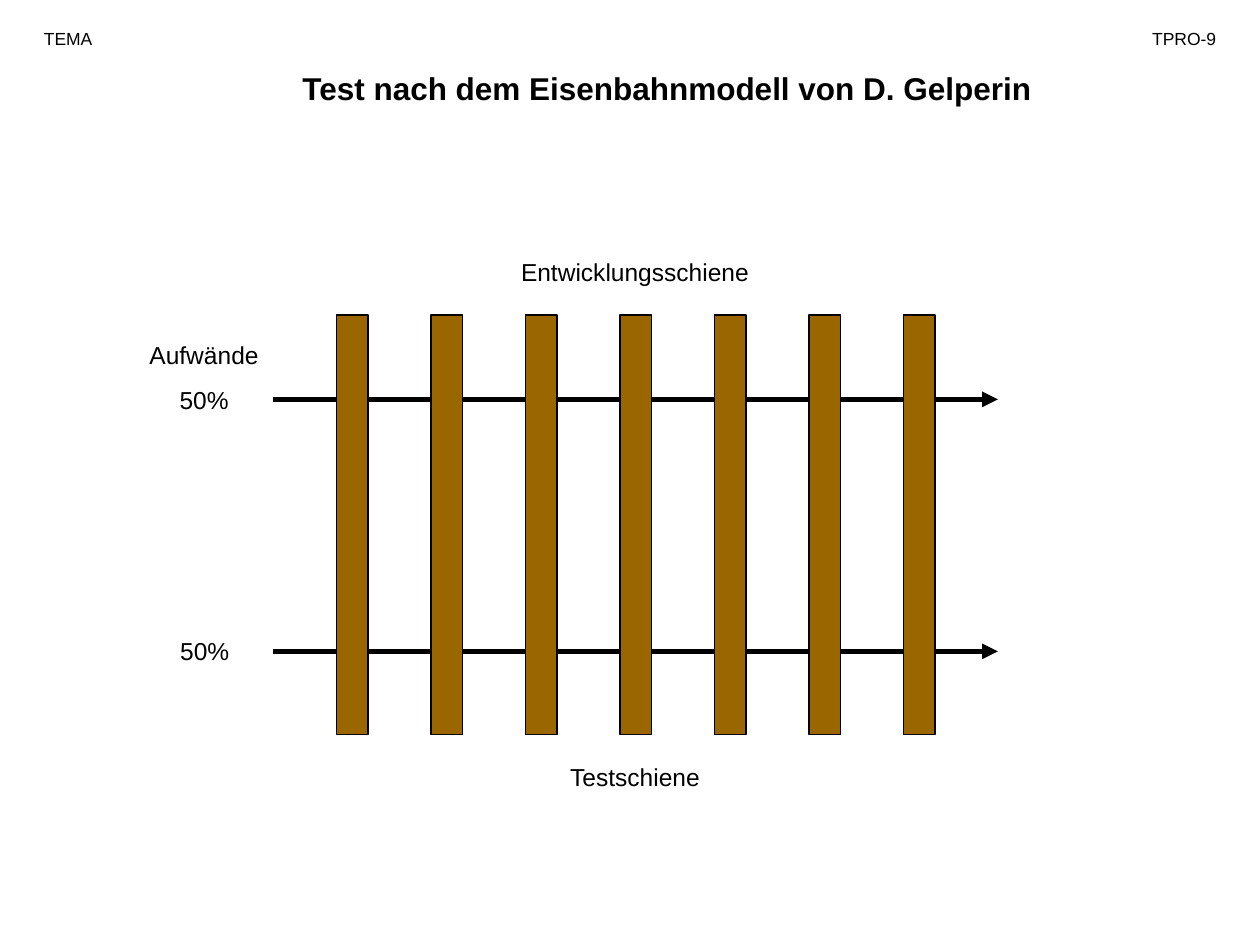
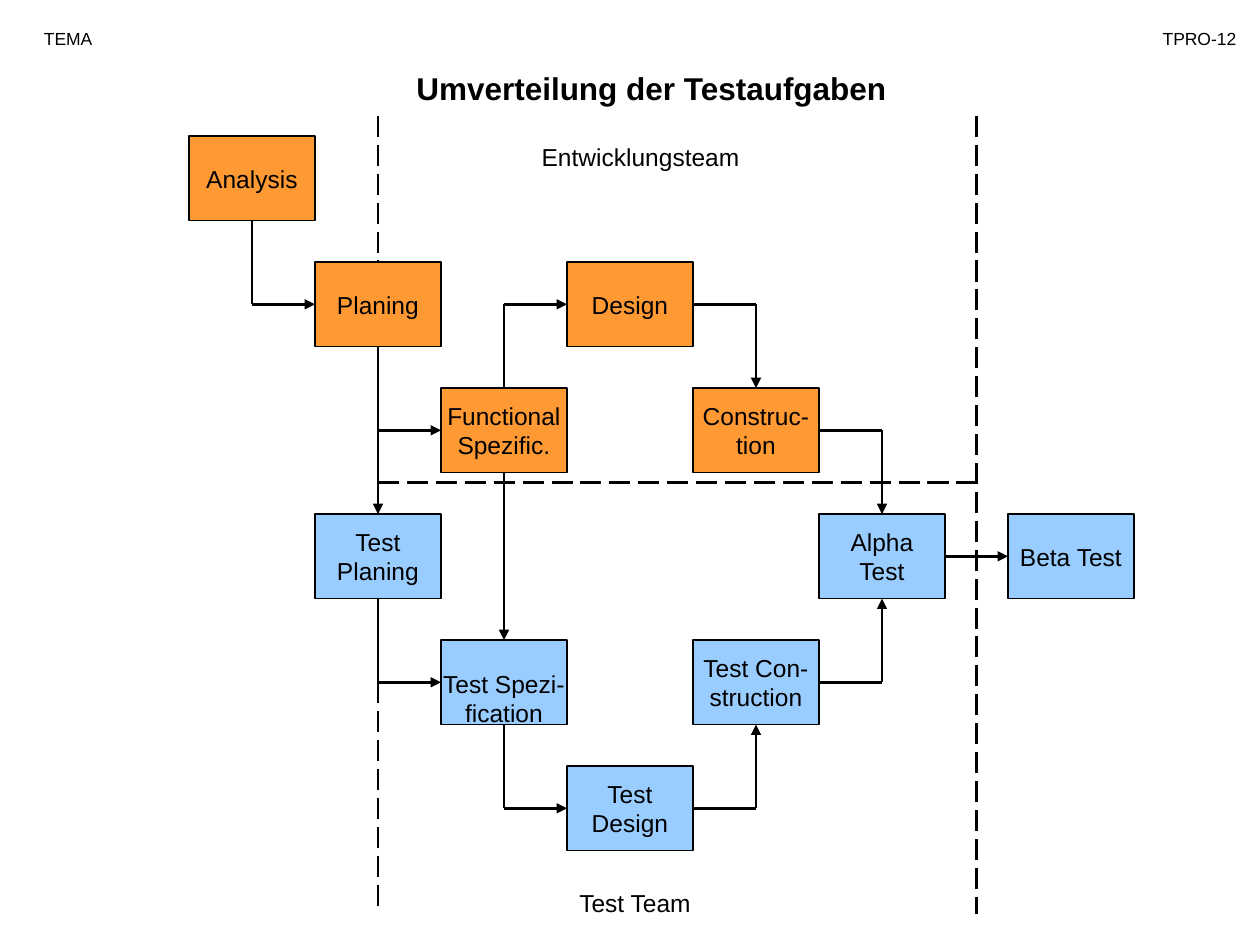
from lxml import etree
from pptx import Presentation
from pptx.dml.color import RGBColor
from pptx.enum.dml import MSO_LINE
from pptx.enum.shapes import MSO_CONNECTOR, MSO_SHAPE
from pptx.enum.text import MSO_ANCHOR, MSO_AUTO_SIZE, PP_ALIGN
from pptx.oxml.ns import qn
from pptx.util import Inches, Pt

STRAIGHT = MSO_CONNECTOR.STRAIGHT
RECT = MSO_SHAPE.RECTANGLE
LONG_DASH = MSO_LINE.LONG_DASH
TOP_ANCHOR, MIDDLE = MSO_ANCHOR.TOP, MSO_ANCHOR.MIDDLE
LEFT_AL, CENTER, RIGHT_AL = PP_ALIGN.LEFT, PP_ALIGN.CENTER, PP_ALIGN.RIGHT
NO_AUTOFIT = MSO_AUTO_SIZE.NONE
TOP, LEFT, BOTTOM, RIGHT = range(4)

FONT = "Arial"
COLORS = {"ink": "000000", "tie": "996600", "dev": "FF9933", "test": "99CCFF"}
INK = RGBColor.from_string(COLORS["ink"])


def write(sp, text, size=14, bold=False, align=CENTER, anchor=TOP_ANCHOR,
          wrap=True, inset_top=0.05, gap=0):
    tf = sp.text_frame
    tf.auto_size = NO_AUTOFIT
    tf.word_wrap = wrap
    tf.vertical_anchor = anchor
    tf.margin_left = tf.margin_right = Inches(0.1)
    tf.margin_top, tf.margin_bottom = Inches(inset_top), Inches(0.05)
    for i, words in enumerate(text.split("\n")):
        p = tf.add_paragraph() if i else tf.paragraphs[0]
        p.alignment = align
        p.space_before = Pt(gap if i else 0)
        r = p.add_run()
        r.text = words
        r.font.name, r.font.size, r.font.bold = FONT, Pt(size), bold
        r.font.color.rgb = INK


def draw_line(slide, start, end, width=1.5, arrow=False, dash=None):
    cx = slide.shapes.add_connector(STRAIGHT, *map(Inches, start + end))
    cx.line.color.rgb = INK
    cx.line.width = Pt(width)
    if dash:
        cx.line.dash_style = dash
    if arrow:
        etree.SubElement(cx.line._ln, qn("a:tailEnd"), type="triangle")
    etree.SubElement(cx._element.spPr, qn("a:effectLst"))
    return cx


prs = Presentation()
prs.slide_width, prs.slide_height = Inches(10), Inches(7.5)

slides = []
for title, title_w, number, number_x, number_w in [
    ("Test nach dem Eisenbahnmodell von D. Gelperin", 6.25, "TPRO-9", 8.75, 1),
    ("Umverteilung der Testaufgaben", 6, "TPRO-12", 8.83, 1.08),
]:
    slide = prs.slides.add_slide(prs.slide_layouts[5])
    slides.append(slide)
    sp = slide.shapes.title
    sp.left, sp.top = Inches(2.17), Inches(0.5)
    sp.width, sp.height = Inches(title_w), Inches(0.4)
    write(sp, title, size=18, bold=True)
    for text, x, w, align in [("TEMA", 0.25, 0.92, LEFT_AL),
                              (number, number_x, number_w, RIGHT_AL)]:
        sp = slide.shapes.add_textbox(Inches(x), Inches(0.17), Inches(w), Inches(0.27))
        write(sp, text, size=10, align=align)
railway, tasks = slides

TIES, TIE_X, TIE_W, TIE_STEP = 7, 2.67, 0.25, 0.75
BOX_W, BOX_H, ROW_Y = 1, 0.67, 1.08
box_places = [
    ("Analysis", 1.5, 0, "dev"),
    ("Planing", 2.5, 1, "dev"),
    ("Design", 4.5, 1, "dev"),
    ("Functional\nSpezific.", 3.5, 2, "dev"),
    ("Construc-\ntion", 5.5, 2, "dev"),
    ("Test\nPlaning", 2.5, 3, "test"),
    ("Alpha\nTest", 6.5, 3, "test"),
    ("Beta Test", 8, 3, "test"),
    ("Test Spezi-\nfication", 3.5, 4, "test"),
    ("Test Con-\nstruction", 5.5, 4, "test"),
    ("Test\nDesign", 4.5, 5, "test"),
]
rects = [(railway, "", TIE_X + i * TIE_STEP, 2.5, TIE_W, 3.33, "tie") for i in range(TIES)]
rects += [(tasks, text, x, ROW_Y + row, BOX_W, BOX_H, color)
          for text, x, row, color in box_places]

boxes, centers = {}, {}
for slide, text, x, y, w, h, color in rects:
    sp = slide.shapes.add_shape(RECT, Inches(x), Inches(y), Inches(w), Inches(h))
    sp.shadow.inherit = False
    sp.fill.solid()
    sp.fill.fore_color.rgb = RGBColor.from_string(COLORS[color])
    sp.line.color.rgb = INK
    sp.line.width = Pt(0.75)
    if text:
        low = text == "Test Spezi-\nfication"
        write(sp, text, wrap=False, anchor=TOP_ANCHOR if low else MIDDLE,
              inset_top=0.23 if low else 0.05)
        name = text.replace("\n", " ")
        boxes[name] = sp
        centers[name] = (x + w / 2, y + h / 2)

for rail_y in (3.17, 5.17):
    for i in range(TIES + 1):
        end_x = TIE_X + i * TIE_STEP
        draw_line(railway, (end_x - TIE_STEP + TIE_W, rail_y), (end_x, rail_y),
                  width=3, arrow=i == TIES)

for source, out_side, target, in_side in [
    ("Analysis", BOTTOM, "Planing", LEFT),
    ("Planing", BOTTOM, "Test Planing", TOP),
    ("Functional Spezific.", TOP, "Design", LEFT),
    ("Functional Spezific.", BOTTOM, "Test Spezi- fication", TOP),
    ("Design", RIGHT, "Construc- tion", TOP),
    ("Construc- tion", RIGHT, "Alpha Test", TOP),
    ("Test Planing", BOTTOM, "Test Spezi- fication", LEFT),
    ("Test Spezi- fication", BOTTOM, "Test Design", LEFT),
    ("Test Design", RIGHT, "Test Con- struction", BOTTOM),
    ("Test Con- struction", RIGHT, "Alpha Test", BOTTOM),
    ("Alpha Test", RIGHT, "Beta Test", LEFT),
]:
    start, end = centers[source], centers[target]
    if start[0] == end[0] or start[1] == end[1]:
        first = last = draw_line(tasks, start, end, arrow=True)
    else:
        upright = out_side in (TOP, BOTTOM)
        corner = (start[0], end[1]) if upright else (end[0], start[1])
        first = draw_line(tasks, start, corner)
        last = draw_line(tasks, corner, end, arrow=True)
    first.begin_connect(boxes[source], out_side)
    last.end_connect(boxes[target], in_side)

branch_x = centers["Planing"][0]
branch_end = centers["Functional Spezific."]
branch = draw_line(tasks, (branch_x, branch_end[1]), branch_end, arrow=True)
branch.end_connect(boxes["Functional Spezific."], LEFT)

TEAM_TOP, TEAM_BOTTOM, TEAM_RIGHT, TEAM_SPLIT = 0.92, 7.25, 7.75, 3.83
for start, end in [
    ((branch_x, TEAM_TOP), (branch_x, ROW_Y + 1)),
    ((branch_x, centers["Test Spezi- fication"][1]), (branch_x, TEAM_BOTTOM)),
    ((TEAM_RIGHT, TEAM_TOP), (TEAM_RIGHT, TEAM_BOTTOM)),
    ((branch_x, TEAM_SPLIT), (TEAM_RIGHT, TEAM_SPLIT)),
]:
    draw_line(tasks, start, end, dash=LONG_DASH)

for slide, text, x, y, w, h in [
    (railway, "Entwicklungsschiene", 3.75, 1.99, 2.58, 0.34),
    (railway, "Testschiene", 4.25, 6, 1.58, 0.34),
    (railway, "Aufwände\n50%", 1.08, 2.65, 1.08, 0.69),
    (railway, "50%", 1.29, 5, 0.67, 0.34),
    (tasks, "Entwicklungsteam", 4.17, 1.08, 1.83, 0.34),
    (tasks, "Test Team", 4, 7, 2.08, 0.34),
]:
    sp = slide.shapes.add_textbox(Inches(x), Inches(y), Inches(w), Inches(h))
    write(sp, text, gap=8.8)

prs.save("out.pptx")
